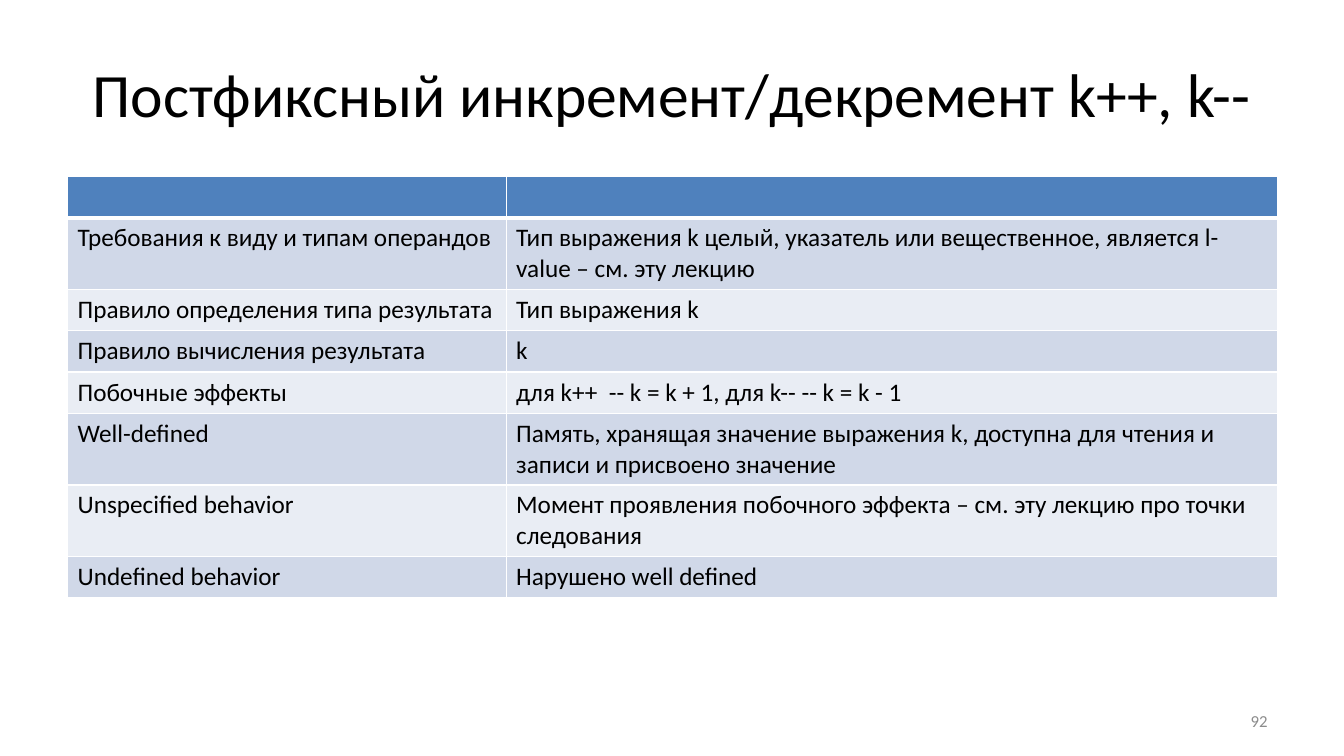
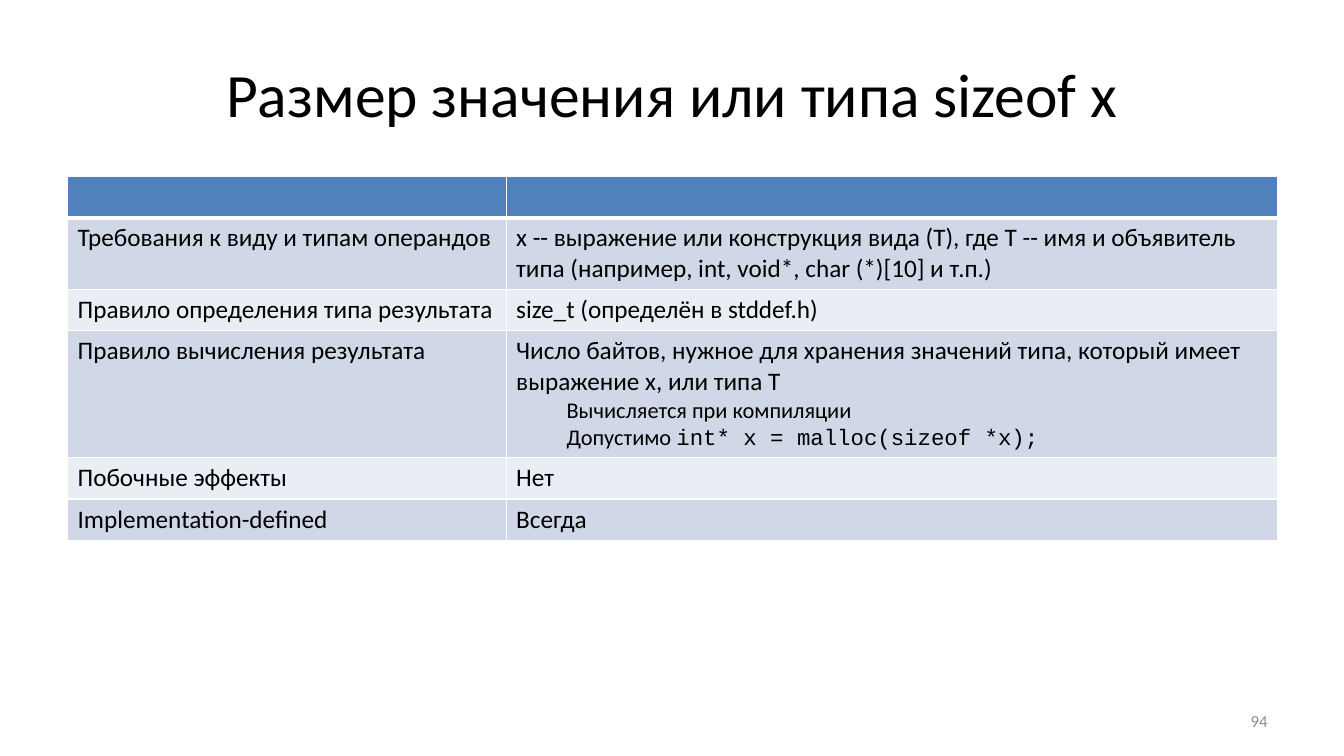
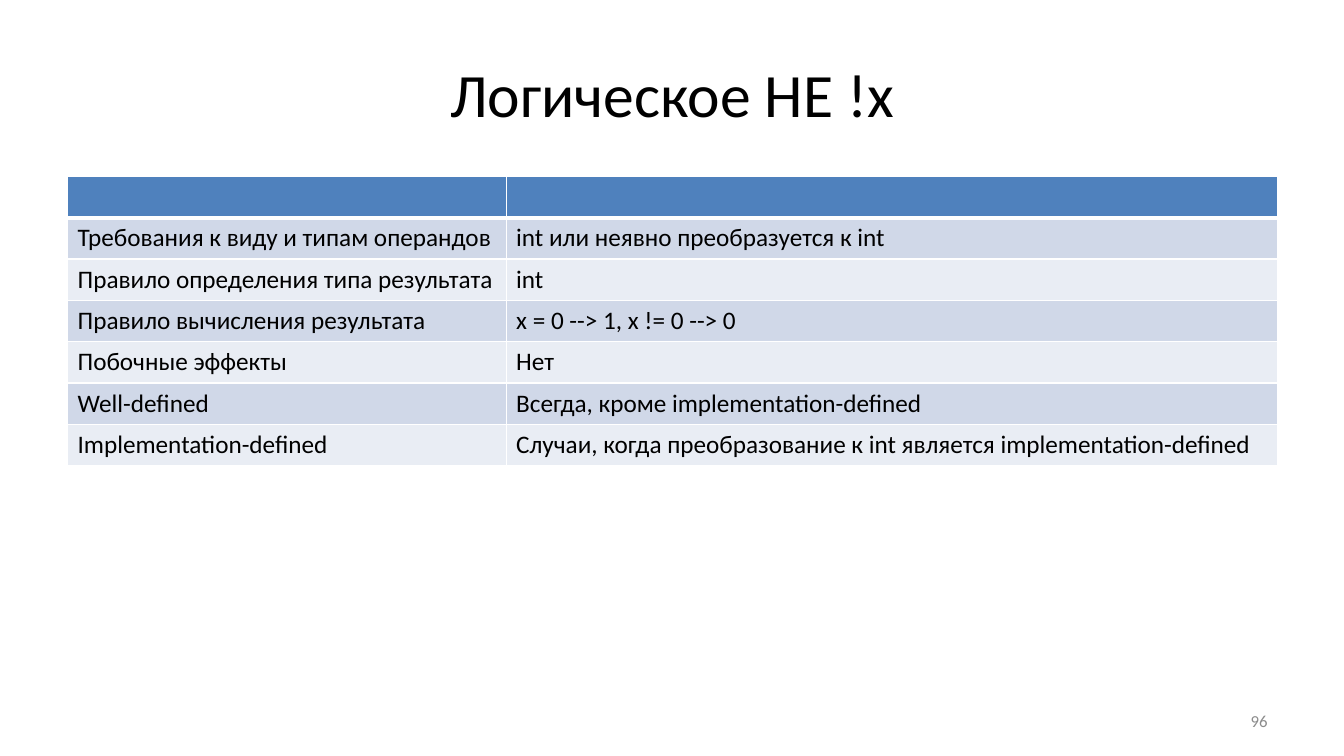
from dataclasses import dataclass

from lxml import etree
from pptx import Presentation
from pptx.dml.color import RGBColor
from pptx.enum.text import MSO_ANCHOR, MSO_AUTO_SIZE, PP_ALIGN
from pptx.oxml.ns import qn
from pptx.util import Inches, Pt

MIDDLE = MSO_ANCHOR.MIDDLE
NO_AUTOFIT = MSO_AUTO_SIZE.NONE
CENTER, LEFT, RIGHT = PP_ALIGN.CENTER, PP_ALIGN.LEFT, PP_ALIGN.RIGHT
TITLE_ONLY = 5


@dataclass(frozen=True)
class Theme:
    """Colours, fonts and type sizes of the deck."""

    font: str = "Calibri"
    code_font: str = "Courier New"
    text: str = "000000"
    number: str = "8C8C8C"
    header: str = "4F81BD"
    bands: tuple = ("D0D8E8", "E9EDF4")
    border: str = "FFFFFF"
    title_size: int = 44
    body_size: int = 18
    detail_size: int = 16
    number_size: int = 12
    thin: int = 1
    thick: int = 3


@dataclass(frozen=True)
class Detail:
    """An indented line in a cell, ending in optional code."""

    text: str
    code: str = ""


THEME = Theme()
TITLE_BOX = (0.67, 0.3, 12, 1.25)
TABLE_BOX = (0.67, 1.75, 12)
NUMBER_BOX = (9.56, 6.95, 3.11, 0.4)
LABEL_WIDTH = 4.35
ROW_HEIGHT = 0.41
DETAIL_INDENT = 0.5

OPERANDS = "Требования к виду и типам операндов"
RESULT_TYPE = "Правило определения типа результата"
RESULT_VALUE = "Правило вычисления результата"
SIDE_EFFECTS = "Побочные эффекты"
WELL_DEFINED = "Well-defined"
UNSPECIFIED = "Unspecified behavior"
UNDEFINED = "Undefined behavior"
IMPLEMENTATION = "Implementation-defined"

SLIDES = [
    ("Постфиксный инкремент/декремент k++, k--", 92, [
        (OPERANDS, ["Тип выражения k целый, указатель или вещественное, является l-value – см. эту лекцию"]),
        (RESULT_TYPE, ["Тип выражения k"]),
        (RESULT_VALUE, ["k"]),
        (SIDE_EFFECTS, ["для k++  -- k = k + 1, для k-- -- k = k - 1"]),
        (WELL_DEFINED, ["Память, хранящая значение выражения k, доступна для чтения и записи и присвоено значение"]),
        (UNSPECIFIED, ["Момент проявления побочного эффекта – см. эту лекцию про точки следования"]),
        (UNDEFINED, ["Нарушено well defined"]),
    ]),
    ("Размер значения или типа sizeof x", 94, [
        (OPERANDS, ["x -- выражение или конструкция вида (T), где T -- имя и объявитель типа "
                    "(например, int, void*, char (*)[10] и т.п.)"]),
        (RESULT_TYPE, ["size_t (определён в stddef.h)"]),
        (RESULT_VALUE, ["Число байтов, нужное для хранения значений типа, который имеет выражение х, или типа T",
                        Detail("Вычисляется при компиляции"),
                        Detail("Допустимо ", "int* x = malloc(sizeof *x);")]),
        (SIDE_EFFECTS, ["Нет"]),
        (IMPLEMENTATION, ["Всегда"]),
    ]),
    ("Логическое НЕ !x", 96, [
        (OPERANDS, ["int или неявно преобразуется к int"]),
        (RESULT_TYPE, ["int"]),
        (RESULT_VALUE, ["x = 0 --> 1, x != 0 --> 0"]),
        (SIDE_EFFECTS, ["Нет"]),
        (WELL_DEFINED, ["Всегда, кроме implementation-defined"]),
        (IMPLEMENTATION, ["Случаи, когда преобразование к int является implementation-defined"]),
    ]),
]


def style_paragraph(paragraph, size, color=THEME.text, alignment=LEFT):
    """Set the font and alignment of a paragraph."""
    paragraph.alignment = alignment
    paragraph.font.name = THEME.font
    paragraph.font.size = Pt(size)
    paragraph.font.bold = False
    paragraph.font.color.rgb = RGBColor.from_string(color)


def set_borders(cell, top, bottom):
    """Draw the four borders of a cell, with top and bottom widths in points."""
    properties = cell._tc.get_or_add_tcPr()
    widths = {"lnL": THEME.thin, "lnR": THEME.thin, "lnT": top, "lnB": bottom}
    for side, width in widths.items():
        line = etree.SubElement(properties, qn(f"a:{side}"), w=str(Pt(width)))
        fill = etree.SubElement(line, qn("a:solidFill"))
        etree.SubElement(fill, qn("a:srgbClr"), val=THEME.border)


def write_cell(cell, lines):
    """Write plain and indented lines into a cell."""
    frame = cell.text_frame
    for index, line in enumerate(lines):
        paragraph = frame.add_paragraph() if index else frame.paragraphs[0]
        if not isinstance(line, Detail):
            paragraph.text = line
            style_paragraph(paragraph, THEME.body_size)
            continue
        paragraph.text = line.text
        paragraph.level = 1
        properties = paragraph._p.get_or_add_pPr()
        properties.set("marL", str(Inches(DETAIL_INDENT)))
        properties.set("indent", "0")
        style_paragraph(paragraph, THEME.detail_size)
        if line.code:
            run = paragraph.add_run()
            run.text = line.code
            run.font.name = THEME.code_font


def add_title(slide, box, text):
    """Place and format the title."""
    title = slide.shapes.title
    title.left, title.top, title.width, title.height = map(Inches, box)
    frame = title.text_frame
    frame.text = text
    frame.auto_size = NO_AUTOFIT
    frame.vertical_anchor = MIDDLE
    style_paragraph(frame.paragraphs[0], THEME.title_size, alignment=CENTER)


def add_rule_table(slide, box, rules):
    """Add a banded table of rules under an empty header row."""
    left, top, width = box
    rows = [("", [""])] + rules
    shape = slide.shapes.add_table(
        len(rows), 2, Inches(left), Inches(top), Inches(width), Inches(ROW_HEIGHT * len(rows)))
    table = shape.table
    table.columns[0].width = Inches(LABEL_WIDTH)
    table.columns[1].width = Inches(width - LABEL_WIDTH)
    for index, (label, lines) in enumerate(rows):
        table.rows[index].height = Inches(ROW_HEIGHT)
        color = THEME.bands[(index - 1) % 2] if index else THEME.header
        top_width = THEME.thick if index == 1 else THEME.thin
        bottom_width = THEME.thin if index else THEME.thick
        for cell, content in zip(table.rows[index].cells, ([label], lines)):
            write_cell(cell, content)
            set_borders(cell, top_width, bottom_width)
            cell.fill.solid()
            cell.fill.fore_color.rgb = RGBColor.from_string(color)


def add_slide_number(slide, box, number):
    """Add the number at the lower right."""
    frame = slide.shapes.add_textbox(*map(Inches, box)).text_frame
    frame.word_wrap = True
    frame.vertical_anchor = MIDDLE
    frame.text = str(number)
    style_paragraph(frame.paragraphs[0], THEME.number_size, THEME.number, RIGHT)


def add_operator_slide(presentation, title, number, rules):
    """Add a slide describing one operator."""
    slide = presentation.slides.add_slide(presentation.slide_layouts[TITLE_ONLY])
    add_title(slide, TITLE_BOX, title)
    add_rule_table(slide, TABLE_BOX, rules)
    add_slide_number(slide, NUMBER_BOX, number)


def main():
    """Build and save the presentation."""
    presentation = Presentation()
    presentation.slide_width = Inches(13.33)
    presentation.slide_height = Inches(7.5)
    for title, number, rules in SLIDES:
        add_operator_slide(presentation, title, number, rules)
    presentation.save("out.pptx")


if __name__ == "__main__":
    main()
